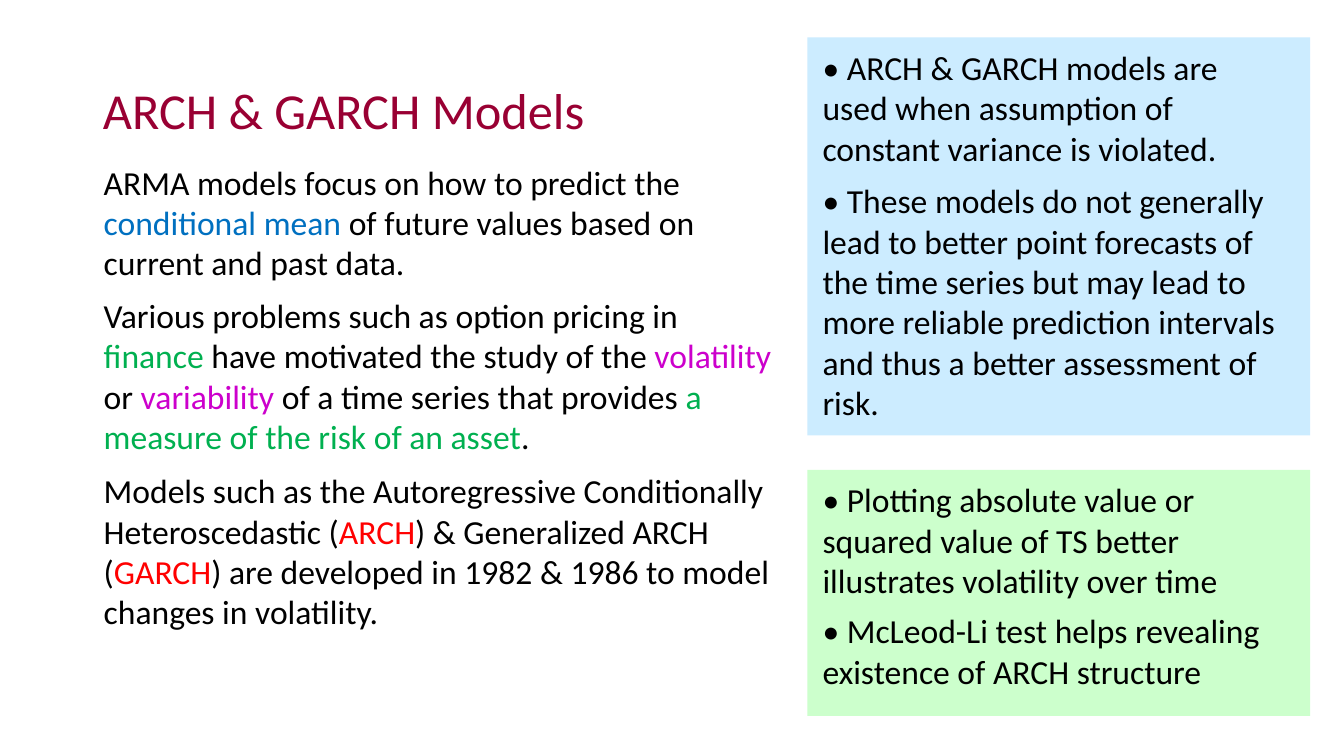
from lxml.etree import SubElement
from pptx import Presentation
from pptx.dml.color import RGBColor
from pptx.enum.shapes import MSO_SHAPE as Shape
from pptx.enum.text import MSO_ANCHOR as Anchor, MSO_AUTO_SIZE as AutoSize, PP_ALIGN as Align
from pptx.oxml.ns import qn
from pptx.util import Cm, Pt

BLACK, MAROON, BLUE = "000000", "990033", "0070C0"
GREEN, PURPLE, RED = "00B050", "CC00CC", "FF0000"
PALE_BLUE, PALE_GREEN = "CCECFF", "CCFFCC"

EXPLANATION = [
    [("ARMA models focus on how to predict the ", None),
     ("conditional mean", BLUE),
     (" of future values based on current and past data.", None)],
    [("Various problems such as option pricing in ", None),
     ("ﬁnance", GREEN),
     (" have motivated the study of the ", None),
     ("volatility", PURPLE),
     (" or ", None),
     ("variability", PURPLE),
     (" of a time series that provides ", None),
     ("a measure of the risk of an asset", GREEN),
     (".", None)],
    [("Models such as the Autoregressive Conditionally Heteroscedastic (", None),
     ("ARCH", RED),
     (") & Generalized ARCH (", None),
     ("GARCH", RED),
     (") are developed in 1982 & 1986 to model changes in volatility.", None)],
]
USAGE = [
    "• ARCH & GARCH models are used when assumption of constant variance is violated.",
    "• These models do not generally lead to better point forecasts of the time series "
    "but may lead to more reliable prediction intervals and thus a better assessment of risk.",
]
DIAGNOSTICS = [
    "• Plotting absolute value or squared value of TS better illustrates volatility over time",
    "• McLeod-Li test helps revealing existence of ARCH structure",
]


def color(hex_string):
    return RGBColor.from_string(hex_string)


def place(shape, box):
    shape.left, shape.top, shape.width, shape.height = (Cm(length) for length in box)


def format_paragraph(paragraph, size, hex_string, gap=0):
    """Style a left-aligned paragraph, with gap points above it."""
    paragraph.alignment = Align.LEFT
    paragraph.space_before = Pt(gap)
    paragraph.font.name = "Calibri"
    paragraph.font.size = Pt(size)
    paragraph.font.color.rgb = color(hex_string)


def remove_bullet(paragraph):
    properties = paragraph._p.get_or_add_pPr()
    properties.set("marL", "0")
    properties.set("indent", "0")
    SubElement(properties, qn("a:buNone"))


def add_paragraphs(frame, count):
    """Return count paragraphs, the first being the one the frame already has."""
    return [frame.paragraphs[0]] + [frame.add_paragraph() for _ in range(count - 1)]


def fill_title(title, box, text):
    place(title, box)
    frame = title.text_frame
    frame.text = text
    frame.vertical_anchor = Anchor.MIDDLE
    frame.auto_size = AutoSize.NONE
    paragraph = frame.paragraphs[0]
    paragraph.line_spacing = 0.9
    format_paragraph(paragraph, 36, MAROON)


def fill_explanation(body, box, passages, gaps):
    place(body, box)
    frame = body.text_frame
    frame.auto_size = AutoSize.NONE
    for paragraph, passage, gap in zip(add_paragraphs(frame, len(passages)), passages, gaps):
        remove_bullet(paragraph)
        format_paragraph(paragraph, 24, BLACK, gap)
        for text, highlight in passage:
            run = paragraph.add_run()
            run.text = text
            if highlight:
                run.font.color.rgb = color(highlight)


def add_panel(slide, box, fill, points, gap):
    """Add a coloured box of points, separated by gap points."""
    panel = slide.shapes.add_shape(Shape.RECTANGLE, *(Cm(length) for length in box))
    panel.shadow.inherit = False
    panel.fill.solid()
    panel.fill.fore_color.rgb = color(fill)
    panel.line.fill.background()
    frame = panel.text_frame
    frame.word_wrap = True
    frame.vertical_anchor = Anchor.TOP
    frame.margin_left, frame.margin_right = Cm(0.38), Cm(0.56)
    frame.margin_top = Cm(0.24)
    for index, paragraph in enumerate(add_paragraphs(frame, len(points))):
        format_paragraph(paragraph, 24, BLACK, gap if index else 0)
        paragraph.add_run().text = points[index]


def main():
    presentation = Presentation()
    presentation.slide_width, presentation.slide_height = Cm(33.87), Cm(19.05)
    slide = presentation.slides.add_slide(presentation.slide_layouts[1])
    fill_title(slide.shapes.title, (2.34, 1.02, 14.6, 3.68), "ARCH & GARCH Models")
    fill_explanation(slide.placeholders[1], (2.36, 3.94, 17.6, 12.3), EXPLANATION, (0, 9, 10))
    add_panel(slide, (20.35, 0.94, 12.67, 10.03), PALE_BLUE, USAGE, 9)
    add_panel(slide, (20.35, 11.84, 12.67, 6.2), PALE_GREEN, DIAGNOSTICS, 7)
    presentation.save("out.pptx")


if __name__ == "__main__":
    main()
